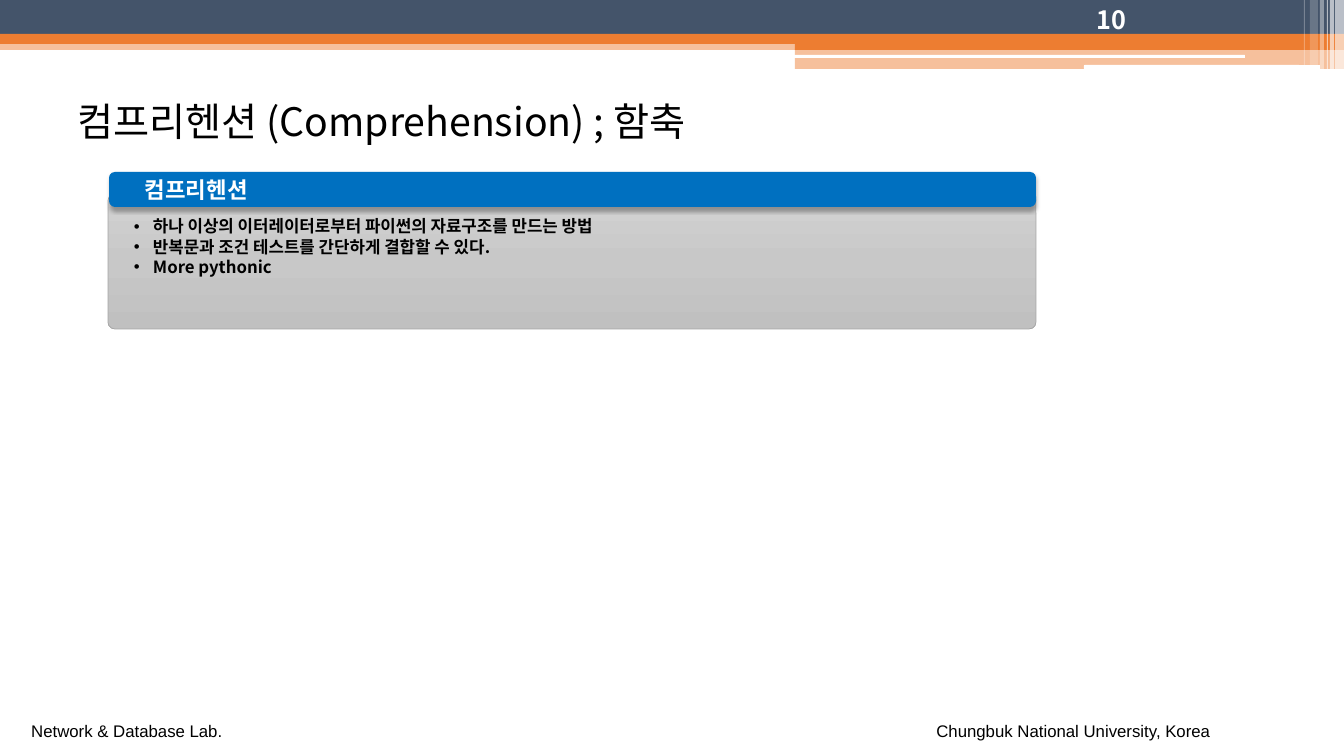
from copy import deepcopy
from dataclasses import dataclass

from lxml import etree
from pptx import Presentation
from pptx.dml.color import RGBColor
from pptx.enum.shapes import MSO_SHAPE
from pptx.enum.text import MSO_ANCHOR, MSO_AUTO_SIZE, PP_ALIGN
from pptx.oxml.ns import qn
from pptx.util import Emu, Pt

RECT, ROUND = MSO_SHAPE.RECTANGLE, MSO_SHAPE.ROUNDED_RECTANGLE
TOP, MIDDLE, BOTTOM = MSO_ANCHOR.TOP, MSO_ANCHOR.MIDDLE, MSO_ANCHOR.BOTTOM
LEFT, CENTER = PP_ALIGN.LEFT, PP_ALIGN.CENTER
FIT_SHAPE = MSO_AUTO_SIZE.SHAPE_TO_FIT_TEXT
BLANK_LAYOUT = 6
PX_PER_INCH = 100.8


@dataclass(frozen=True)
class Theme:
    navy: str = "44546A"
    orange: str = "ED7D31"
    blue: str = "0070C0"
    white: str = "FFFFFF"
    black: str = "000000"
    panel_line: str = "A5A5A5"
    panel_stops: tuple = ((0, "D2D2D2"), (50, "C8C8C8"), (100, "C0C0C0"))
    korean: str = "Noto Sans CJK KR"
    latin: str = "Arial"
    title: int = 28
    number: int = 18
    heading: int = 16
    body: int = 12


def px(length):
    return Emu(round(length * 914400 / PX_PER_INCH))


def add_alpha(color, percent):
    etree.SubElement(color, qn("a:alpha"), val=str(percent * 1000))


def write(frame, text, *, font, size, color, bold=False, align=LEFT,
          line=None, bullet=None, indent=0):
    for index, words in enumerate(text.split("\n")):
        paragraph = frame.paragraphs[0] if index == 0 else frame.add_paragraph()
        paragraph.alignment = align
        if line:
            paragraph.line_spacing = Pt(line)
        if bullet:
            properties = paragraph._p.get_or_add_pPr()
            properties.set("marL", str(px(indent)))
            properties.set("indent", str(-px(indent)))
            etree.SubElement(properties, qn("a:buFont"), typeface="Arial")
            etree.SubElement(properties, qn("a:buChar"), char=bullet)
        run = paragraph.add_run()
        run.text = words
        run.font.name = font
        run.font.size = Pt(size)
        run.font.bold = bold
        run.font.color.rgb = RGBColor.from_string(color)
        etree.SubElement(run._r.get_or_add_rPr(), qn("a:ea"), typeface=font)


class SlideBuilder:
    def __init__(self, slide, theme):
        self.slide = slide
        self.theme = theme

    def block(self, box, color, kind=RECT, alpha=None):
        block = self.slide.shapes.add_shape(kind, *map(px, box))
        block.shadow.inherit = False
        block.line.fill.background()
        block.fill.solid()
        block.fill.fore_color.rgb = RGBColor.from_string(color)
        if alpha:
            add_alpha(block._element.spPr.find(".//" + qn("a:srgbClr")), alpha)
        return block

    def panel(self, box, rounding):
        panel = self.block(box, self.theme.white, ROUND)
        panel.adjustments[0] = rounding
        panel.line.color.rgb = RGBColor.from_string(self.theme.panel_line)
        panel.line.width = Pt(0.5)
        panel.fill.gradient()
        panel.fill.gradient_angle = 270
        stops = panel._element.spPr.find(".//" + qn("a:gsLst"))
        stops.append(deepcopy(stops[-1]))
        for stop, (position, color) in zip(panel.fill.gradient_stops,
                                           self.theme.panel_stops):
            stop.position = position / 100
            stop.color.rgb = RGBColor.from_string(color)

    def raised_bar(self, box):
        bar = self.block(box, self.theme.blue, ROUND)
        effects = bar._element.spPr.find(qn("a:effectLst"))
        shadow = etree.SubElement(
            effects, qn("a:outerShdw"), blurRad=str(Pt(3.5)),
            dist=str(Pt(2.2)), dir="5400000", algn="ctr", rotWithShape="0")
        add_alpha(etree.SubElement(shadow, qn("a:srgbClr"),
                                   val=self.theme.black), 31)

    def text(self, box, words, anchor=TOP, wrap=True, fit=False, **style):
        frame = self.slide.shapes.add_textbox(*map(px, box)).text_frame
        frame.word_wrap = wrap
        frame.vertical_anchor = anchor
        if fit:
            frame.auto_size = FIT_SHAPE
        write(frame, words, **style)


def draw_banner(builder):
    theme = builder.theme
    builder.block((0, 40, 1344, 10), theme.orange, alpha=48)
    builder.block((0, 0, 1344, 34), theme.navy)
    builder.block((0, 34, 1344, 10), theme.orange)
    builder.block((795, 39, 549, 11), theme.orange)
    builder.block((795, 49, 549, 20), theme.orange, alpha=48)
    builder.block((794, 55, 451, 3), theme.white, ROUND)
    builder.block((1084, 65, 236, 4), theme.white, ROUND)
    stripes = ((1335, 9, 69, 63), (1330, 4, 69, 63), (1327, 1, 69, 60),
               (1320, 4, 69, 40), (1310, 8, 65, 20), (1304, 1, 65, 28))
    for left, width, height, alpha in stripes:
        builder.block((left, 0, width, height), theme.white, alpha=alpha)


def draw_footer(builder):
    theme = builder.theme
    for left, width, words in ((21, 212, "Network & Database Lab."),
                               (926, 295, "Chungbuk National University, Korea")):
        builder.text((left, 716, width, 30), words, wrap=False, fit=True,
                     font=theme.latin, size=theme.body, color=theme.black,
                     align=CENTER)


def draw_content(builder):
    theme = builder.theme
    builder.text((1069, 0, 85, 40), "10", anchor=BOTTOM, font=theme.korean,
                 size=theme.number, color=theme.white, bold=True, align=CENTER)
    builder.text((68, 62, 1210, 118), "컴프리헨션 (Comprehension) ; 함축",
                 anchor=MIDDLE, font=theme.korean, size=theme.title,
                 color=theme.black)
    builder.panel((108, 194, 928, 135), 0.05)
    builder.raised_bar((109, 172, 927, 35))
    builder.text((135, 171, 717, 37), "컴프리헨션", fit=True,
                 font=theme.korean, size=theme.heading, color=theme.white,
                 bold=True, line=19.5)
    builder.text((124, 211, 869, 72),
                 "하나 이상의 이터레이터로부터 파이썬의 자료구조를 만드는 방법\n"
                 "반복문과 조건 테스트를 간단하게 결합할 수 있다.\n"
                 "More pythonic",
                 fit=True, font=theme.korean, size=theme.body,
                 color=theme.black, bold=True, line=14.6, bullet="•", indent=19)


def main():
    deck = Presentation()
    deck.slide_width, deck.slide_height = px(1344), px(756)
    slide = deck.slides.add_slide(deck.slide_layouts[BLANK_LAYOUT])
    builder = SlideBuilder(slide, Theme())
    draw_banner(builder)
    draw_footer(builder)
    draw_content(builder)
    deck.save("out.pptx")


if __name__ == "__main__":
    main()
